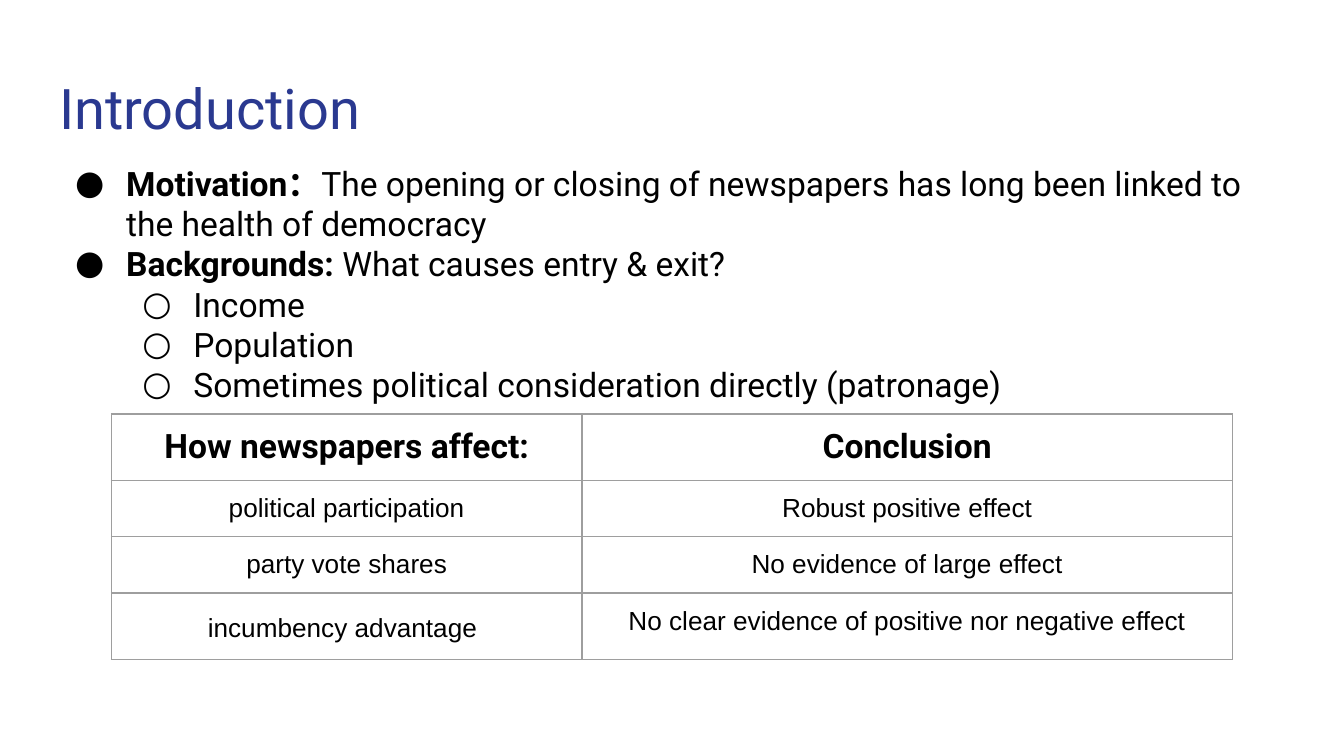
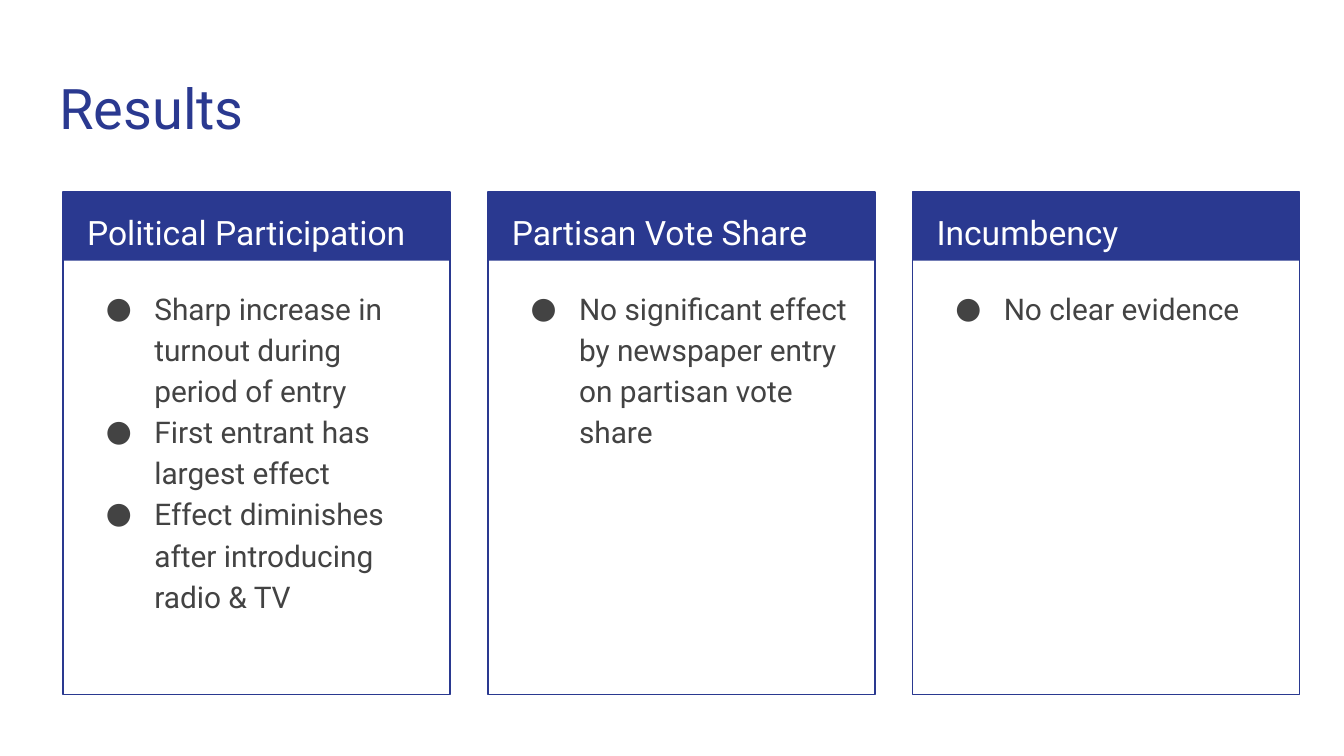
from dataclasses import dataclass

from lxml import etree
from pptx import Presentation
from pptx import util as u
from pptx.dml.color import RGBColor
from pptx.enum import shapes, text
from pptx.oxml import ns


@dataclass(frozen=True)
class Theme:
    navy: str = "2A3990"
    black: str = "000000"
    gray: str = "434343"
    white: str = "FFFFFF"
    border: str = "9E9E9E"
    font: str = "Roboto"
    cell_font: str = "Arial"
    title: int = 30
    heading: int = 18
    point: int = 16
    cell: int = 14
    line: float = 0.75
    spacing: float = 1.15


@dataclass(frozen=True)
class Box:
    """Area measured in grid columns and rows."""
    x: float
    y: float
    w: float
    h: float

    def inside(self, x, y, w, h):
        return Box(self.x + x, self.y + y, w, h)

    def emu(self):
        return [int(n * UNIT) for n in (self.x, self.y, self.w, self.h)]


THEME = Theme()
COLUMNS, ROWS = 100, 56.25
UNIT = u.Inches(10) / COLUMNS
INSET = int(UNIT)
TITLE = Box(3.4, 4.5, 93.2, 6.6)
CARD = Box(4.7, 14.3, 28.8, 37.4)
CARD_PITCH = 31.6
HEADER_ROWS = 5.1

# Each point: level, bold lead, rest of the line
INTRO_POINTS = [
    (0, "Motivation：",
     "The opening or closing of newspapers has long been linked to the health of democracy"),
    (0, "Backgrounds:", " What causes entry & exit?"),
    (1, "", "Income"),
    (1, "", "Population"),
    (1, "", "Sometimes political consideration directly (patronage)"),
]
FINDINGS = [
    ("How newspapers affect:", "Conclusion"),
    ("political participation", "Robust positive effect"),
    ("party vote shares", "No evidence of large effect"),
    ("incumbency advantage", "No clear evidence of positive nor negative effect"),
]
RESULTS = [
    ("Political Participation", ["Sharp increase in turnout during period of entry",
                                 "First entrant has largest effect",
                                 "Effect diminishes after introducing radio & TV"]),
    ("Partisan Vote Share",
     ["No significant effect by newspaper entry on partisan vote share"]),
    ("Incumbency", ["No clear evidence"]),
]


def rgb(color):
    return RGBColor.from_string(color)


def add_run(paragraph, words, size, color, bold=False, font=THEME.font):
    run = paragraph.add_run()
    run.text = words
    run.font.name, run.font.size, run.font.bold = font, u.Pt(size), bold
    run.font.color.rgb = rgb(color)


def set_bullet(paragraph, color, hang, level=0):
    paragraph.level = level
    props = paragraph._p.get_or_add_pPr()
    props.set("marL", str(u.Inches(0.5 * (level + 1))))
    props.set("indent", str(-u.Inches(hang)))
    tint = etree.SubElement(props, ns.qn("a:buClr"))
    etree.SubElement(tint, ns.qn("a:srgbClr"), val=color)
    etree.SubElement(props, ns.qn("a:buFont"), typeface=THEME.font)
    etree.SubElement(props, ns.qn("a:buChar"), char="●○"[level])


def prepare_frame(frame):
    frame.word_wrap = True
    frame.auto_size = text.MSO_AUTO_SIZE.NONE
    frame.vertical_anchor = text.MSO_ANCHOR.TOP
    frame.margin_left = frame.margin_right = INSET
    frame.margin_top = frame.margin_bottom = INSET
    return frame


def add_text(slide, box):
    return prepare_frame(slide.shapes.add_textbox(*box.emu()).text_frame)


def paragraphs(frame, items):
    """Pair each item with its own paragraph of the frame."""
    for number, item in enumerate(items):
        yield (frame.add_paragraph() if number else frame.paragraphs[0]), item


def add_titled_slide(deck, heading):
    slide = deck.slides.add_slide(deck.slide_layouts[5])
    title = slide.shapes.title
    title.left, title.top, title.width, title.height = TITLE.emu()
    line = prepare_frame(title.text_frame).paragraphs[0]
    line.alignment = text.PP_ALIGN.LEFT
    add_run(line, heading, THEME.title, THEME.navy)
    return slide


def add_intro_points(slide, box):
    for line, (level, lead, rest) in paragraphs(add_text(slide, box), INTRO_POINTS):
        set_bullet(line, THEME.black, 0.38, level)
        if lead:
            add_run(line, lead, THEME.heading, THEME.black, bold=True)
        add_run(line, rest, THEME.heading, THEME.black)


def style_cell(cell):
    cell.margin_left = cell.margin_right = INSET
    cell.margin_top = cell.margin_bottom = INSET
    cell.fill.background()
    props = cell._tc.get_or_add_tcPr()
    for position, side in enumerate("LRTB"):
        edge = etree.Element(ns.qn(f"a:ln{side}"), w=str(u.Pt(THEME.line)))
        fill = etree.SubElement(edge, ns.qn("a:solidFill"))
        etree.SubElement(fill, ns.qn("a:srgbClr"), val=THEME.border)
        props.insert(position, edge)


def add_findings_table(slide, box, widths):
    table = slide.shapes.add_table(len(FINDINGS), len(widths), *box.emu()).table
    for column, width in zip(table.columns, widths):
        column.width = int(width * UNIT)
    for r, row in enumerate(FINDINGS):
        for c, words in enumerate(row):
            cell = table.cell(r, c)
            style_cell(cell)
            line = cell.text_frame.paragraphs[0]
            line.alignment = text.PP_ALIGN.CENTER
            if r == 0:
                add_run(line, words, THEME.heading, THEME.black, bold=True)
            else:
                add_run(line, words, THEME.cell, THEME.black, font=THEME.cell_font)
    last_topic = table.cell(len(FINDINGS) - 1, 0).text_frame.paragraphs[0]
    add_run(last_topic, " ", THEME.heading, THEME.black)


def add_rectangle(slide, box):
    rectangle = slide.shapes.add_shape(shapes.MSO_SHAPE.RECTANGLE, *box.emu())
    rectangle.shadow.inherit = False
    return rectangle


def add_result_card(slide, box, heading, points):
    band = add_rectangle(slide, box.inside(0, 0, box.w, HEADER_ROWS))
    band.fill.solid()
    band.fill.fore_color.rgb = rgb(THEME.navy)
    band.line.fill.background()

    outline = add_rectangle(slide, box)
    outline.fill.background()
    outline.line.color.rgb = rgb(THEME.navy)
    outline.line.width = u.Pt(THEME.line)

    header = add_text(slide, box.inside(0.8, 0, box.w - 1.5, HEADER_ROWS)).paragraphs[0]
    header.line_spacing = THEME.spacing
    add_run(header, heading, THEME.heading, THEME.white)

    body = add_text(slide, box.inside(0.8, 5.9, box.w - 1.7, box.h - 6.8))
    for line, point in paragraphs(body, points):
        line.line_spacing = THEME.spacing
        set_bullet(line, THEME.gray, 0.36)
        add_run(line, point, THEME.point, THEME.gray)


def build_introduction(deck):
    slide = add_titled_slide(deck, "Introduction")
    add_intro_points(slide, TITLE.inside(0, TITLE.h, TITLE.w, 39.2))
    add_findings_table(slide, Box(8.3, 30.8, 83.4, 16.8), (35, 48.4))


def build_results(deck):
    slide = add_titled_slide(deck, "Results")
    for number, (heading, points) in enumerate(RESULTS):
        card = CARD.inside(number * CARD_PITCH, 0, CARD.w, CARD.h)
        add_result_card(slide, card, heading, points)


def main():
    deck = Presentation()
    deck.slide_width, deck.slide_height = int(COLUMNS * UNIT), int(ROWS * UNIT)
    build_introduction(deck)
    build_results(deck)
    deck.save("out.pptx")


if __name__ == "__main__":
    main()
